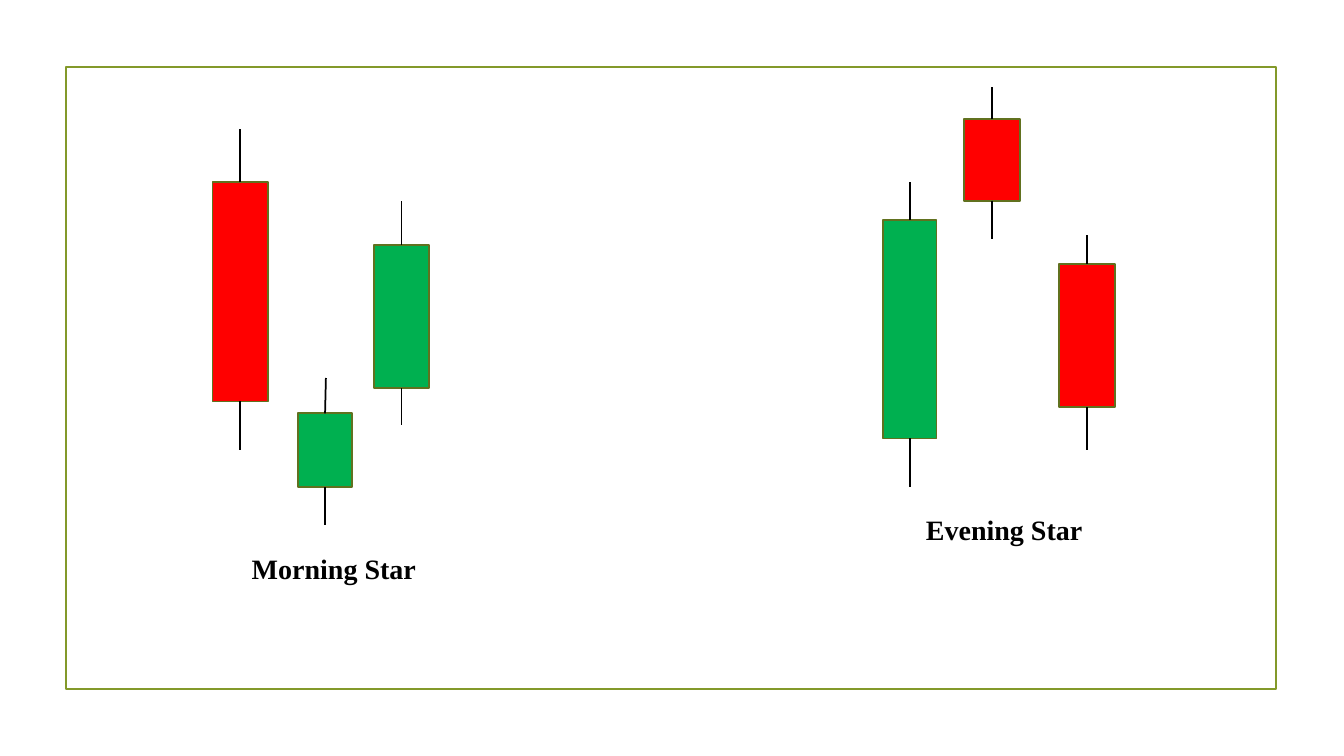
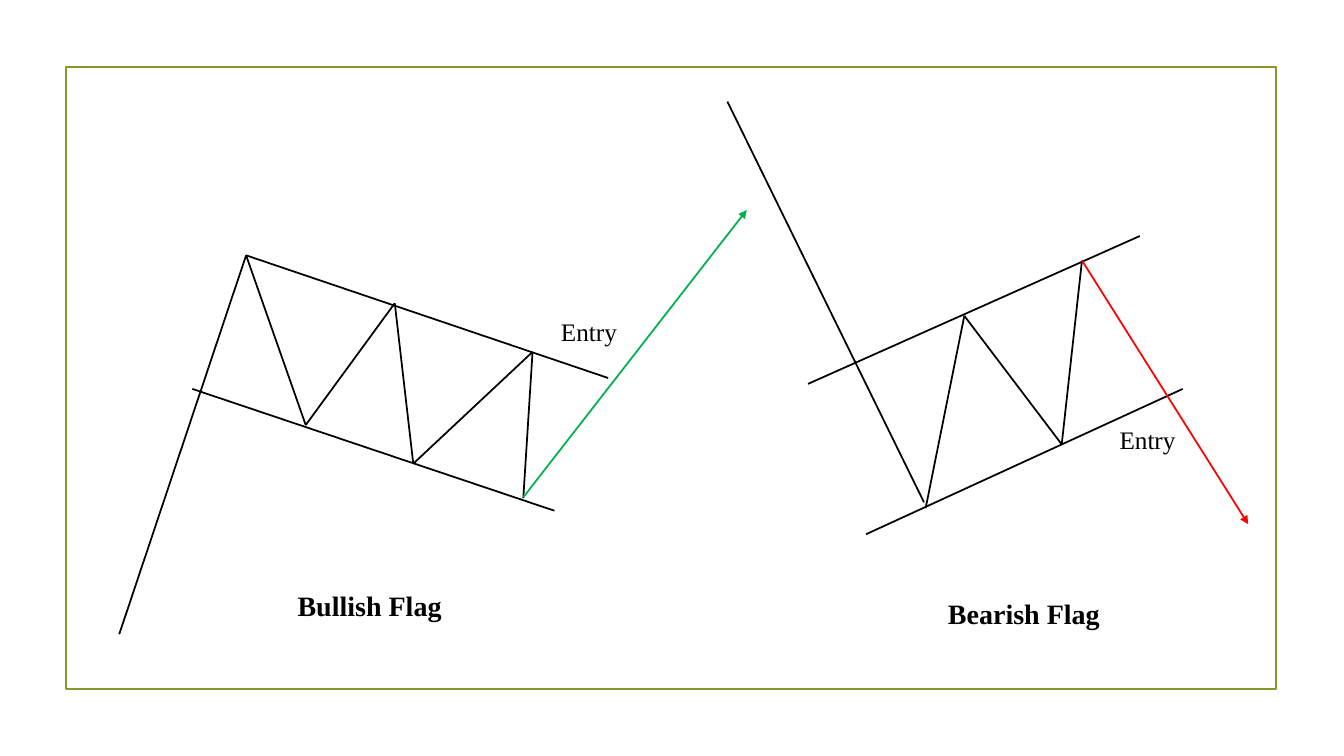
from dataclasses import dataclass
from itertools import pairwise

from pptx import Presentation
from pptx.dml.color import RGBColor as RGB
from pptx.enum.shapes import MSO_CONNECTOR as Link, MSO_SHAPE as Shape
from pptx.enum.text import MSO_ANCHOR as Anchor, PP_ALIGN as Align
from pptx.oxml.ns import qn
from pptx.util import Inches, Pt
from lxml.etree import SubElement


@dataclass(frozen=True)
class Theme:
    olive: RGB = RGB(0x83, 0x99, 0x2A)
    edge: RGB = RGB(0x61, 0x71, 0x1F)
    black: RGB = RGB(0, 0, 0)
    red: RGB = RGB(0xFF, 0, 0)
    green: RGB = RGB(0, 0xB0, 0x50)
    font: str = "Times New Roman"
    title: Pt = Pt(20)
    label: Pt = Pt(18)
    line: Pt = Pt(1.25)


THEME = Theme()
WIDTH, HEIGHT = Inches(13.33), Inches(7.5)
COLS, ROWS = 160, 90
TOP, BOTTOM = 0, 2  # connection sites of a rectangle
FRAME = (7.9, 8, 144, 74)

# middle, high, body top, body bottom, low, body width, colour, lean of upper wick
MORNING = [
    (28.6, 15.4, 21.7, 47.8, 53.6, 6.6, THEME.red, 0),
    (38.7, 45, 49.2, 58, 62.5, 6.4, THEME.green, 0.1),
    (47.8, 23.9, 29.2, 46.2, 50.6, 6.6, THEME.green, 0),
]
EVENING = [
    (108.3, 21.7, 26.2, 52.2, 58, 6.4, THEME.green, 0),
    (118.1, 10.4, 14.2, 23.9, 28.4, 6.6, THEME.red, 0),
    (129.4, 28, 31.4, 48.5, 53.6, 6.6, THEME.red, 0),
]

# each path is a list of (column, row) points
BULL = [
    [(22.9, 46.3), (66, 60.8)],
    [(29.3, 30.4), (72.4, 45)],
    [(14.2, 75.5), (29.3, 30.4), (36.4, 50.6), (47, 36.1),
     (49.2, 55.2), (63.4, 41.9), (62.3, 59.3)],
]
BEAR = [
    [(96.2, 45.7), (135.7, 28.1)],
    [(103.1, 63.6), (140.8, 46.3)],
    [(86.6, 12.1), (110, 59.8)],
    [(110.2, 60.5), (114.8, 37.6), (126.4, 52.9), (128.8, 31.1)],
]


def col(n):
    return round(WIDTH * n / COLS)


def row(n):
    return round(HEIGHT * n / ROWS)


def area(left, top, width, height):
    return col(left), row(top), col(width), row(height)


def box(slide, place, edge, fill=None):
    shape = slide.shapes.add_shape(Shape.RECTANGLE, *area(*place))
    shape.shadow.inherit = False
    shape.line.color.rgb = edge
    shape.line.width = THEME.line
    if fill is None:
        shape.fill.background()
    else:
        shape.fill.solid()
        shape.fill.fore_color.rgb = fill
    return shape


def line(slide, start, end, color=THEME.black, arrow=False):
    link = slide.shapes.add_connector(
        Link.STRAIGHT, col(start[0]), row(start[1]), col(end[0]), row(end[1]))
    link.line.color.rgb = color
    link.line.width = THEME.line
    if arrow:
        SubElement(link.line._get_or_add_ln(), qn("a:tailEnd"), type="triangle")
    SubElement(link._element.spPr, qn("a:effectLst"))
    return link


def text(slide, words, place, size, bold=False):
    frame = slide.shapes.add_textbox(*area(*place)).text_frame
    frame.word_wrap = True
    para = frame.paragraphs[0]
    para.text = words
    font = para.font
    font.name, font.size, font.bold = THEME.font, size, bold
    font.color.rgb = THEME.black
    return frame


def title(slide, words, left, top, width):
    frame = text(slide, words, (left, top, width, 5.3), THEME.title, bold=True)
    frame.vertical_anchor = Anchor.MIDDLE
    frame.paragraphs[0].alignment = Align.CENTER


def entry(slide, left, top):
    text(slide, "Entry", (left, top, 24, 4.8), THEME.label)


def candle(slide, mid, high, top, bottom, low, width, color, lean):
    body = box(slide, (mid - width / 2, top, width, bottom - top), THEME.edge, color)
    upper = line(slide, (mid, top), (mid + lean, high))
    upper.begin_connect(body, TOP)
    lower = line(slide, (mid, bottom), (mid, low))
    lower.begin_connect(body, BOTTOM)


def trace(slide, points):
    """Join successive points with straight lines."""
    for start, end in pairwise(points):
        line(slide, start, end)


def page(deck):
    """Add a blank slide with the shared frame."""
    slide = deck.slides.add_slide(deck.slide_layouts[6])
    box(slide, FRAME, THEME.olive)
    return slide


def stars(deck):
    slide = page(deck)
    for item in MORNING + EVENING:
        candle(slide, *item)
    title(slide, "Morning Star", 25.3, 65, 28.9)
    title(slide, "Evening Star", 105.1, 60.4, 28.9)


def flags(deck):
    slide = page(deck)
    for points in BULL + BEAR:
        trace(slide, points)
    line(slide, (62.3, 59.2), (88.9, 25), THEME.green, arrow=True)
    line(slide, (128.8, 31), (148.6, 62.4), THEME.red, arrow=True)
    title(slide, "Bullish Flag", 27.6, 69.4, 32.8)
    title(slide, "Bearish Flag", 104.8, 70.4, 34.2)
    entry(slide, 65.6, 37.1)
    entry(slide, 132.1, 49.9)


def main():
    deck = Presentation()
    deck.slide_width, deck.slide_height = WIDTH, HEIGHT
    stars(deck)
    flags(deck)
    deck.save("out.pptx")


if __name__ == "__main__":
    main()
